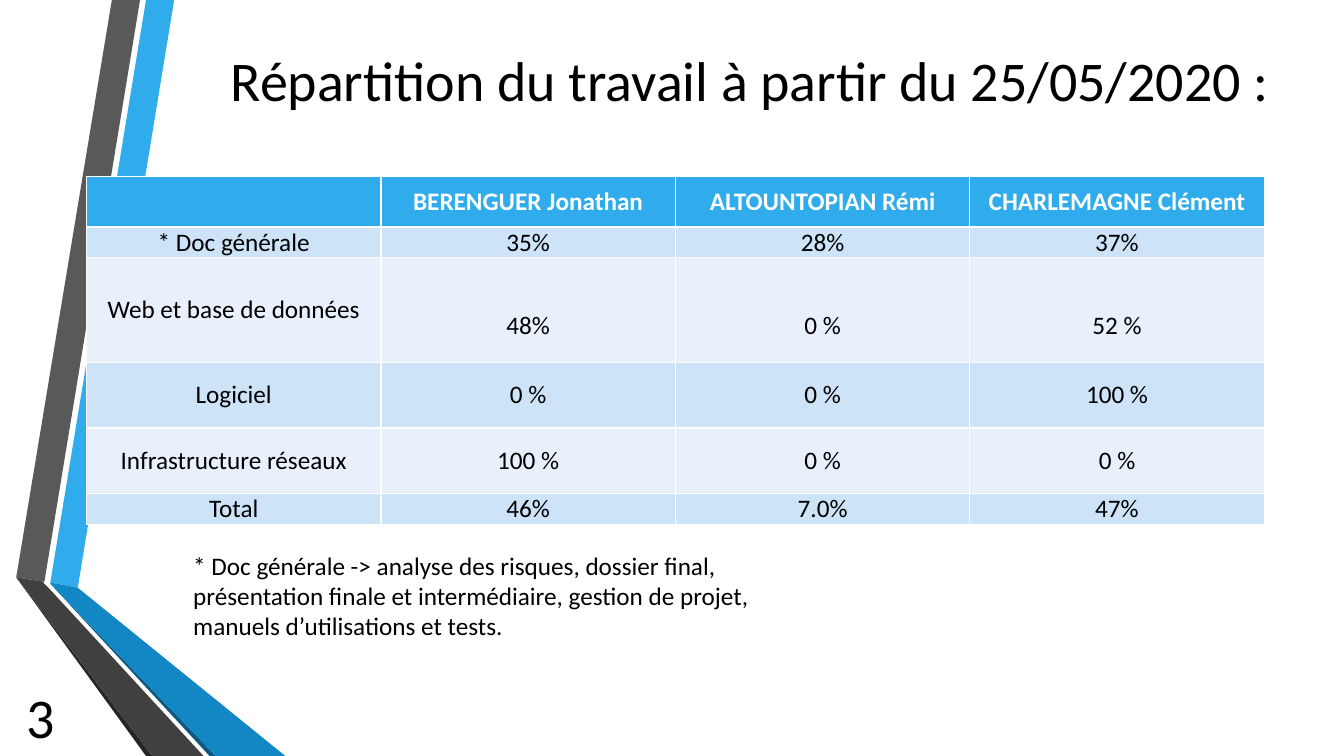
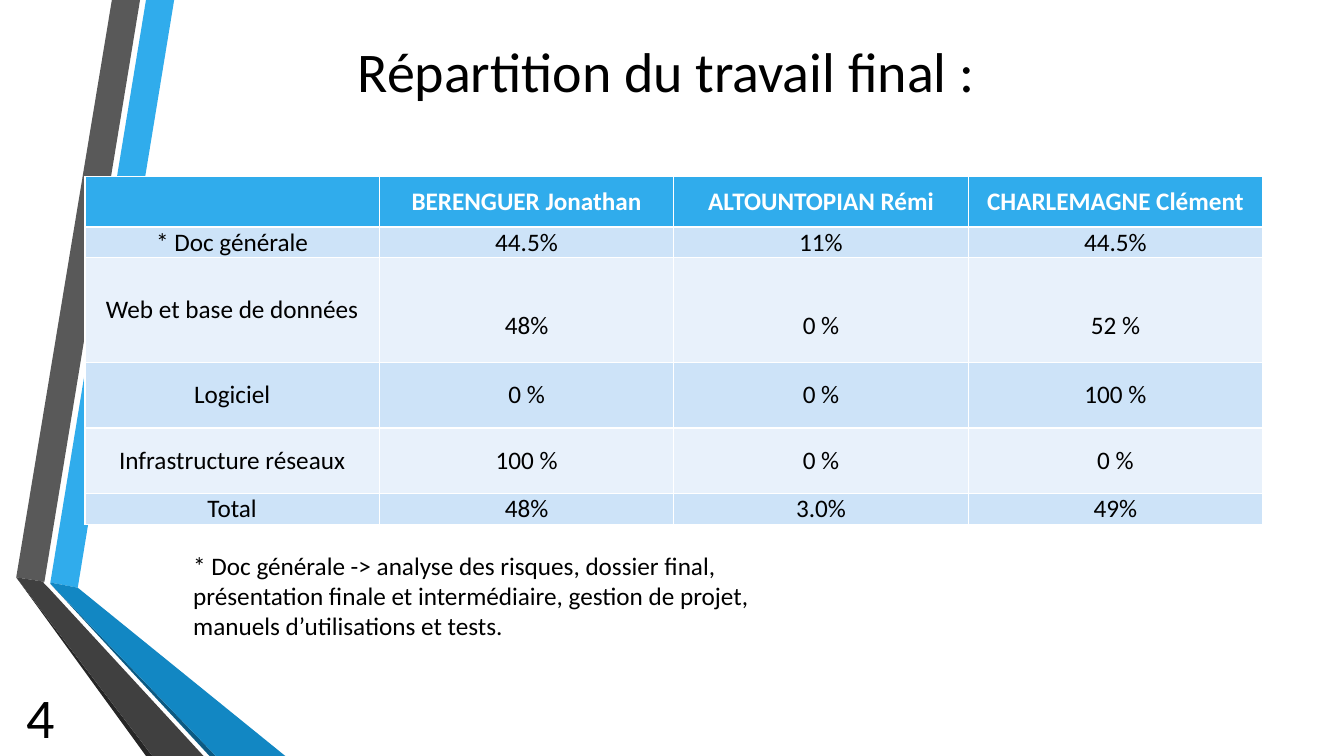
from pptx import Presentation
from pptx.dml.color import RGBColor
from pptx.enum.text import MSO_ANCHOR, MSO_AUTO_SIZE, PP_ALIGN
from pptx.util import Cm, Pt

LEFT, CENTER = PP_ALIGN.LEFT, PP_ALIGN.CENTER
MIDDLE = MSO_ANCHOR.MIDDLE
NO_FIT = MSO_AUTO_SIZE.NONE

FONT = "Calibri"
BLACK, WHITE = "000000", "FFFFFF"
BLUE = "30ACEC"
BAND_FILLS = ("CDE3F8", "E8F1FB")

COL_WIDTH = 7.42
ROW_HEIGHTS = (1.27, 0.71, 2.64, 1.65, 1.65, 0.71)
WEB_ROW = 2
WEB_VALUE_INSET = 0.77

# Outlines of the side ribbon, in hundredths of a centimetre
RIBBON = (
    (BLUE, [(127, 1468), (196, 1481), (439, 0), (368, 0)]),
    ("595959", [(353, 0), (282, 0), (41, 1455), (112, 1466)]),
    ("262626", [(41, 1455), (368, 1905), (384, 1905)]),
    ("0C5A82", [(127, 1471), (528, 1905), (544, 1905)]),
    ("1287C3", [(127, 1471), (544, 1905), (719, 1905), (196, 1481), (127, 1468)]),
    ("404040", [(513, 1905), (122, 1481), (109, 1468), (112, 1466), (41, 1455),
                (384, 1905)]),
)

NOTE = ("* Doc générale -> analyse des risques, dossier final, présentation "
        "finale et intermédiaire, gestion de projet, manuels d’utilisations "
        "et tests.")
HEADER = ("", "BERENGUER Jonathan", "ALTOUNTOPIAN Rémi", "CHARLEMAGNE Clément")
COMMON_ROWS = (
    ("Web et base de données", "48%", "0 %", "52 %"),
    ("Logiciel", "0 %", "0 %", "100 %"),
    ("Infrastructure réseaux", "100 %", "0 %", "0 %"),
)


def rgb(color):
    return RGBColor.from_string(color)


def write(tf, text, size=18, color=BLACK, bold=False, align=LEFT):
    p = tf.paragraphs[0]
    p.alignment = align
    r = p.add_run()
    r.text = text
    r.font.name = FONT
    r.font.size = Pt(size)
    r.font.bold = bold
    r.font.color.rgb = rgb(color)


def add_text(slide, text, left, top, width, height, **fmt):
    sp = slide.shapes.add_textbox(Cm(left), Cm(top), Cm(width), Cm(height))
    sp.text_frame.word_wrap = True
    write(sp.text_frame, text, **fmt)


def add_title(slide, text, left, top, width, height):
    sp = slide.shapes.title
    sp.left, sp.top, sp.width, sp.height = map(Cm, (left, top, width, height))
    tf = sp.text_frame
    tf.auto_size = NO_FIT
    tf.vertical_anchor = MIDDLE
    write(tf, text, size=40)


def add_table(slide, rows, left, top):
    """Add the workload table; its white borders come from the table style."""
    n_cols = len(HEADER)
    table = slide.shapes.add_table(
        len(rows), n_cols, Cm(left), Cm(top),
        Cm(n_cols * COL_WIDTH), Cm(sum(ROW_HEIGHTS))).table
    for col in table.columns:
        col.width = Cm(COL_WIDTH)
    for i, (row, height) in enumerate(zip(rows, ROW_HEIGHTS)):
        table.rows[i].height = Cm(height)
        is_header = i == 0
        for j, text in enumerate(row):
            cell = table.cell(i, j)
            cell.margin_left = cell.margin_right = cell.margin_bottom = 0
            cell.margin_top = Cm(WEB_VALUE_INSET if i == WEB_ROW and j else 0)
            cell.vertical_anchor = MIDDLE
            cell.fill.solid()
            cell.fill.fore_color.rgb = rgb(BLUE if is_header else BAND_FILLS[(i - 1) % 2])
            if text:
                write(cell.text_frame, text, color=WHITE if is_header else BLACK,
                      bold=is_header, align=CENTER)


def move_ribbon_to_layout(slide):
    """Draw the ribbon as a group, then hand it to the layout all slides share."""
    layout = slide.slide_layout
    for ph in list(layout.placeholders):
        if ph.placeholder_format.idx != 0:
            layout.shapes.element.remove(ph.element)
    group = slide.shapes.add_group_shape()
    for color, points in RIBBON:
        builder = group.shapes.build_freeform(*points[0], scale=Cm(0.01))
        builder.add_line_segments(points[1:], close=True)
        sp = builder.convert_to_shape()
        sp.shadow.inherit = False
        sp.fill.solid()
        sp.fill.fore_color.rgb = rgb(color)
        sp.line.fill.background()
    layout.shapes.element.append(group.element)


def add_workload_slide(prs, number, title, title_box, table_left, doc_row, total_row):
    slide = prs.slides.add_slide(prs.slide_layouts[5])
    add_title(slide, title, *title_box)
    add_table(slide, (HEADER, doc_row, *COMMON_ROWS, total_row), table_left, 4.45)
    add_text(slide, NOTE, 4.62, 13.74, 16.28, 2.57)
    add_text(slide, str(number), 0.43, 17.07, 1.12, 1.96, size=40)
    return slide


def main():
    prs = Presentation()
    prs.slide_width, prs.slide_height = Cm(33.87), Cm(19.05)
    first = add_workload_slide(
        prs, 3, "Répartition du travail à partir du 25/05/2020 :",
        (5.56, 0.25, 26.92, 3.51), 2.18,
        ("* Doc générale", "35%", "28%", "37%"),
        ("Total", "46%", "7.0%", "47%"))
    move_ribbon_to_layout(first)
    add_workload_slide(
        prs, 4, "Répartition du travail final :",
        (8.76, 0, 16.36, 3.51), 2.14,
        ("* Doc générale", "44.5%", "11%", "44.5%"),
        ("Total", "48%", "3.0%", "49%"))
    prs.save("out.pptx")


if __name__ == "__main__":
    main()
